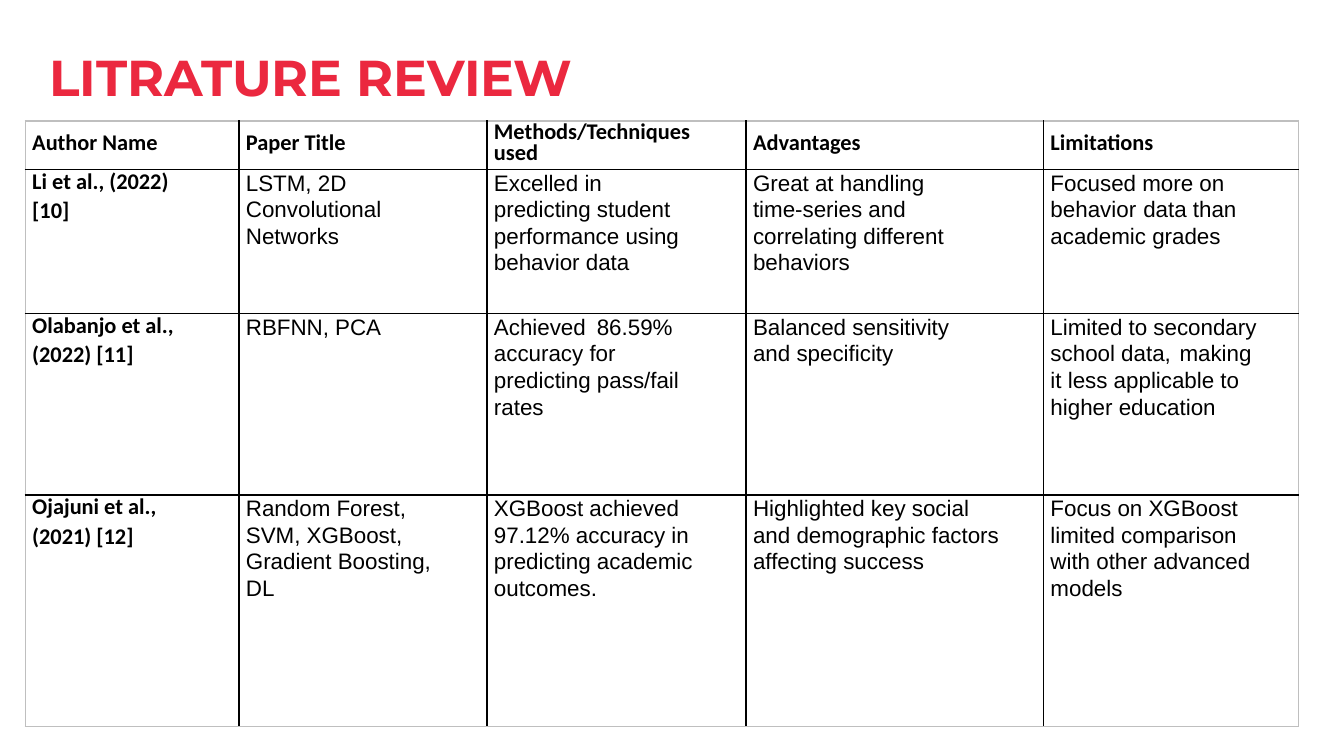
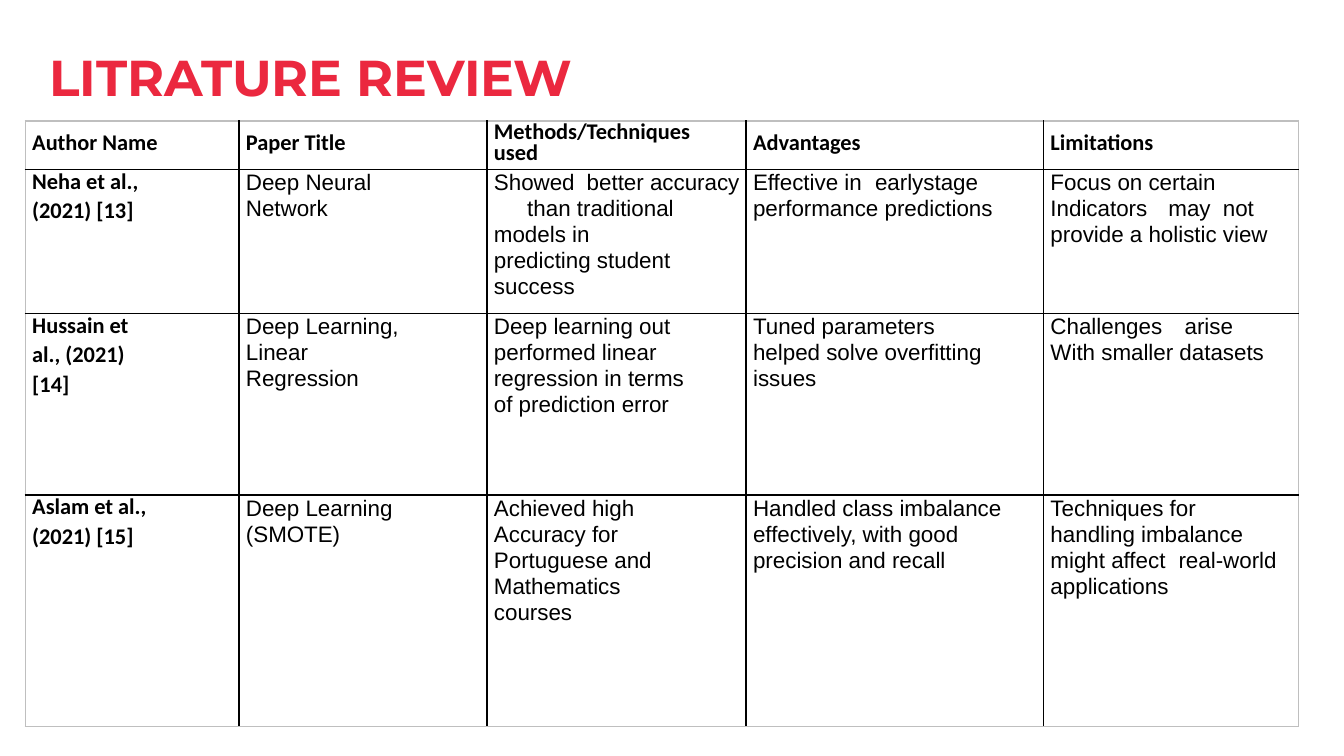
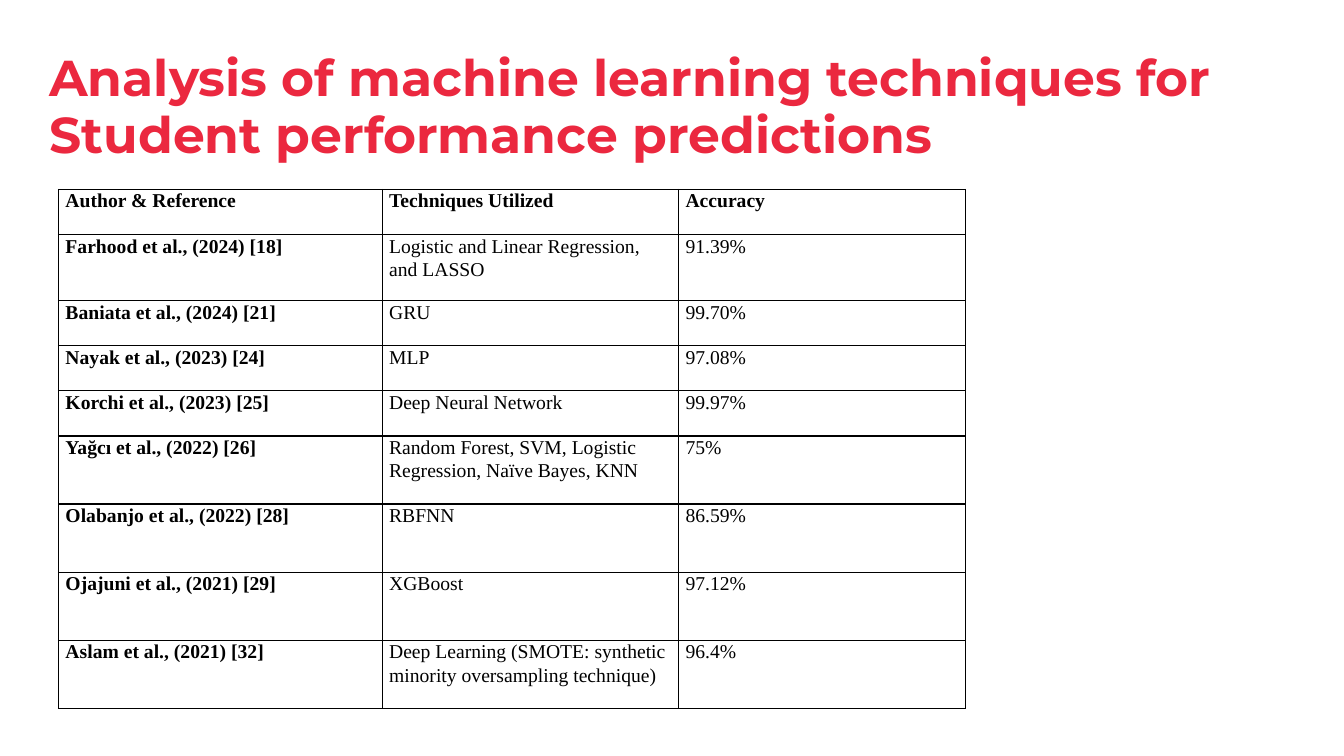
from dataclasses import dataclass

from lxml.etree import SubElement
from pptx import Presentation
from pptx.dml.color import RGBColor
from pptx.enum.text import MSO_ANCHOR, PP_ALIGN
from pptx.oxml.ns import qn
from pptx.util import Inches, Pt


@dataclass(frozen=True)
class Theme:
    """Colours, fonts and type sizes of the deck."""
    accent: str = "EB283F"
    ink: str = "000000"
    frame: str = "BFBFBF"
    title_font: str = "Montserrat"
    title_size: int = 36
    title_leading: float = 0.94
    line_width: int = 1
    padding: float = 0.07


@dataclass(frozen=True)
class TableStyle:
    """Type and frame of one kind of table."""
    lead_font: str
    body_font: str
    size: int
    header_leading: object
    lead_leading: object
    body_leading: object
    next_leading: object
    next_gap: float
    header_anchor: object
    frame: str


THEME = Theme()
PAGE_WIDTH, PAGE_HEIGHT = 13.33, 7.5
TITLE_LEFT, TITLE_TOP = 0.49, 0.51
REVIEW_BOX = (0.25, 1.2, 12.63, 6.01)
REVIEW_COLUMNS = (2.12, 2.46, 2.57, 2.95, 2.53)
REVIEW_ROWS = (0.48, 1.43, 1.8, 2.3)
ACCURACY_BOX = (0.58, 1.88, 9, 5.15)
ACCURACY_COLUMNS = (3.21, 2.94, 2.85)
ACCURACY_ROWS = (0.45, 0.66, 0.45, 0.45, 0.45, 0.68, 0.68, 0.68, 0.68)


def review_style(body_leading):
    """Return the style of a review table with the given body leading."""
    return TableStyle("Calibri", "Arial", 16, Pt(15.6), Pt(18.6), body_leading,
                      body_leading, 1.4, MSO_ANCHOR.MIDDLE, THEME.frame)


ACCURACY_STYLE = TableStyle("Times New Roman", "Times New Roman", 14, Pt(16.2),
                            Pt(16.3), Pt(16.3), 1.0, 1.2, MSO_ANCHOR.TOP, THEME.ink)

REVIEW_HEADER = ("Author Name", "Paper Title", "Methods/Techniques used",
                 "Advantages", "Limitations")

FIRST_REVIEW = (
    REVIEW_HEADER,
    ("Li et al., (2022)\n[10]",
     "LSTM, 2D\nConvolutional\vNetworks",
     "Excelled in\npredicting student performance using behavior data",
     "Great at handling\ntime-series and\vcorrelating different\vbehaviors",
     ("Focused more on\nbehavior\tdata than\vacademic grades", (0.92,))),
    ("Olabanjo et al.,\n(2022) [11]",
     "RBFNN, PCA",
     ("Achieved\t86.59%\naccuracy for\vpredicting pass/fail\vrates", (1.02,)),
     "Balanced sensitivity\nand specificity",
     ("Limited to secondary\vschool data,\tmaking\vit less applicable to\vhigher education",
      (1.28,))),
    ("Ojajuni et al.,\n(2021) [12]",
     "Random Forest,\nSVM, XGBoost,\vGradient Boosting,\vDL",
     "XGBoost achieved 97.12% accuracy in predicting academic outcomes.",
     "Highlighted key social\vand demographic factors\vaffecting success",
     "Focus on XGBoost\vlimited comparison\vwith other advanced\vmodels"),
)

SECOND_REVIEW = (
    REVIEW_HEADER,
    ("Neha et al.,\n(2021) [13]",
     "Deep Neural\nNetwork",
     ("Showed\tbetter accuracy\v\tthan traditional\vmodels in\vpredicting student\vsuccess",
      (0.33, 0.92)),
     ("Effective in\tearlystage\vperformance predictions", (1.21,)),
     ("Focus on certain\nIndicators\tmay\tnot\vprovide a holistic view", (1.17, 1.71))),
    ("Hussain et\nal., (2021)\n[14]",
     "Deep Learning,\nLinear\vRegression",
     "Deep learning out performed linear regression in terms\nof prediction error",
     "Tuned parameters\nhelped solve overfitting\vissues",
     ("Challenges\tarise\nWith smaller datasets", (1.33,))),
    ("Aslam et al.,\n(2021) [15]",
     "Deep Learning\n(SMOTE)",
     "Achieved high\nAccuracy for\nPortuguese and\vMathematics\ncourses",
     "Handled class imbalance\veffectively, with good\vprecision and recall",
     ("Techniques for\nhandling imbalance\vmight affect\treal-world\vapplications", (1.27,))),
)

ACCURACY = (
    ("Author & Reference", "Techniques Utilized", "Accuracy"),
    ("Farhood et al., (2024) [18]", "Logistic and Linear Regression,\nand LASSO", "91.39%"),
    ("Baniata et al., (2024) [21]", "GRU", "99.70%"),
    ("Nayak et al., (2023) [24]", "MLP", "97.08%"),
    ("Korchi et al., (2023) [25]", "Deep Neural Network", "99.97%"),
    ("Yağcı et al., (2022) [26]",
     "Random Forest, SVM, Logistic\nRegression, Naïve Bayes, KNN", "75%"),
    ("Olabanjo et al., (2022) [28]", "RBFNN", "86.59%"),
    ("Ojajuni et al., (2021) [29]", "XGBoost", "97.12%"),
    ("Aslam et al., (2021) [32]",
     "Deep Learning (SMOTE: synthetic\nminority oversampling technique)", "96.4%"),
)


def add_span(para, text, font, size, colour, bold):
    """Add one formatted run to a paragraph."""
    span = para.add_run()
    span.text = text
    span.font.name = font
    span.font.size = Pt(size)
    span.font.bold = bold
    span.font.color.rgb = RGBColor.from_string(colour)


def add_titled_page(deck, text, width, height):
    """Add a title-only slide and format its title."""
    page = deck.slides.add_slide(deck.slide_layouts[5])
    box = page.shapes.title
    box.left, box.top = Inches(TITLE_LEFT), Inches(TITLE_TOP)
    box.width, box.height = Inches(width), Inches(height)
    frame = box.text_frame
    frame.word_wrap = True
    frame.vertical_anchor = MSO_ANCHOR.TOP
    frame.margin_left = frame.margin_right = frame.margin_top = frame.margin_bottom = 0
    para = frame.paragraphs[0]
    para.alignment = PP_ALIGN.LEFT
    para.line_spacing = THEME.title_leading
    add_span(para, text, THEME.title_font, THEME.title_size, THEME.accent, True)
    return page


def set_tabs(para, stops):
    """Give a paragraph left tab stops, in inches."""
    tab_list = SubElement(para._p.get_or_add_pPr(), qn("a:tabLst"))
    for stop in stops:
        SubElement(tab_list, qn("a:tab"), pos=str(Inches(stop)), algn="l")


def set_borders(cell, colours):
    """Draw the four borders of a cell in the given colours."""
    properties = cell._tc.get_or_add_tcPr()
    for side, colour in zip("LRTB", colours):
        line = SubElement(properties, qn(f"a:ln{side}"), w=str(Pt(THEME.line_width)))
        fill = SubElement(line, qn("a:solidFill"))
        SubElement(fill, qn("a:srgbClr"), val=colour)


def fill_cell(cell, content, style, is_header, is_lead):
    """Write the paragraphs of one table cell."""
    text, stops = (content, ()) if isinstance(content, str) else content
    cell.margin_left = Inches(THEME.padding)
    cell.margin_right = Inches(THEME.padding) if is_header else 0
    cell.margin_top = cell.margin_bottom = 0
    cell.vertical_anchor = style.header_anchor if is_header else MSO_ANCHOR.TOP
    bold = is_header or is_lead
    font = style.lead_font if bold else style.body_font
    first = (style.header_leading if is_header
             else style.lead_leading if is_lead else style.body_leading)
    following = 1.0 if is_lead else style.next_leading
    frame = cell.text_frame
    for index, part in enumerate(text.split("\n")):
        para = frame.add_paragraph() if index else frame.paragraphs[0]
        para.line_spacing = following if index else first
        para.space_before = Pt(style.next_gap if index and following == 1.0 else 0)
        if stops:
            set_tabs(para, stops)
        for number, line in enumerate(part.split("\v")):
            if number:
                para.add_line_break()
            add_span(para, line, font, style.size, THEME.ink, bold)


def add_grid(page, box, column_shares, row_shares, rows, style):
    """Place a ruled table whose columns and rows share the box."""
    left, top, width, height = box
    table = page.shapes.add_table(len(rows), len(rows[0]), Inches(left), Inches(top),
                                  Inches(width), Inches(height)).table
    table.first_row = table.horz_banding = False
    for column, share in zip(table.columns, column_shares):
        column.width = Inches(width * share / sum(column_shares))
    for row, share in zip(table.rows, row_shares):
        row.height = Inches(height * share / sum(row_shares))
    last_row, last_column = len(rows) - 1, len(rows[0]) - 1
    for row, contents in enumerate(rows):
        for column, content in enumerate(contents):
            cell = table.cell(row, column)
            outer = (column == 0, column == last_column, row == 0, row == last_row)
            set_borders(cell, [style.frame if edge else THEME.ink for edge in outer])
            cell.fill.background()
            fill_cell(cell, content, style, row == 0, column == 0)


def add_review_page(deck, rows, body_leading):
    """Add one literature review slide."""
    page = add_titled_page(deck, "LITRATURE REVIEW", 10.28, 0.57)
    add_grid(page, REVIEW_BOX, REVIEW_COLUMNS, REVIEW_ROWS, rows, review_style(body_leading))


def add_accuracy_page(deck):
    """Add the slide that compares accuracies."""
    page = add_titled_page(
        deck, "Analysis of machine learning techniques for Student performance predictions",
        12.26, 1.14)
    add_grid(page, ACCURACY_BOX, ACCURACY_COLUMNS, ACCURACY_ROWS, ACCURACY, ACCURACY_STYLE)


def main():
    """Build and save the deck."""
    deck = Presentation()
    deck.slide_width, deck.slide_height = Inches(PAGE_WIDTH), Inches(PAGE_HEIGHT)
    add_review_page(deck, FIRST_REVIEW, 1.07)
    add_review_page(deck, SECOND_REVIEW, Pt(18.6))
    add_accuracy_page(deck)
    deck.save("out.pptx")


if __name__ == "__main__":
    main()
